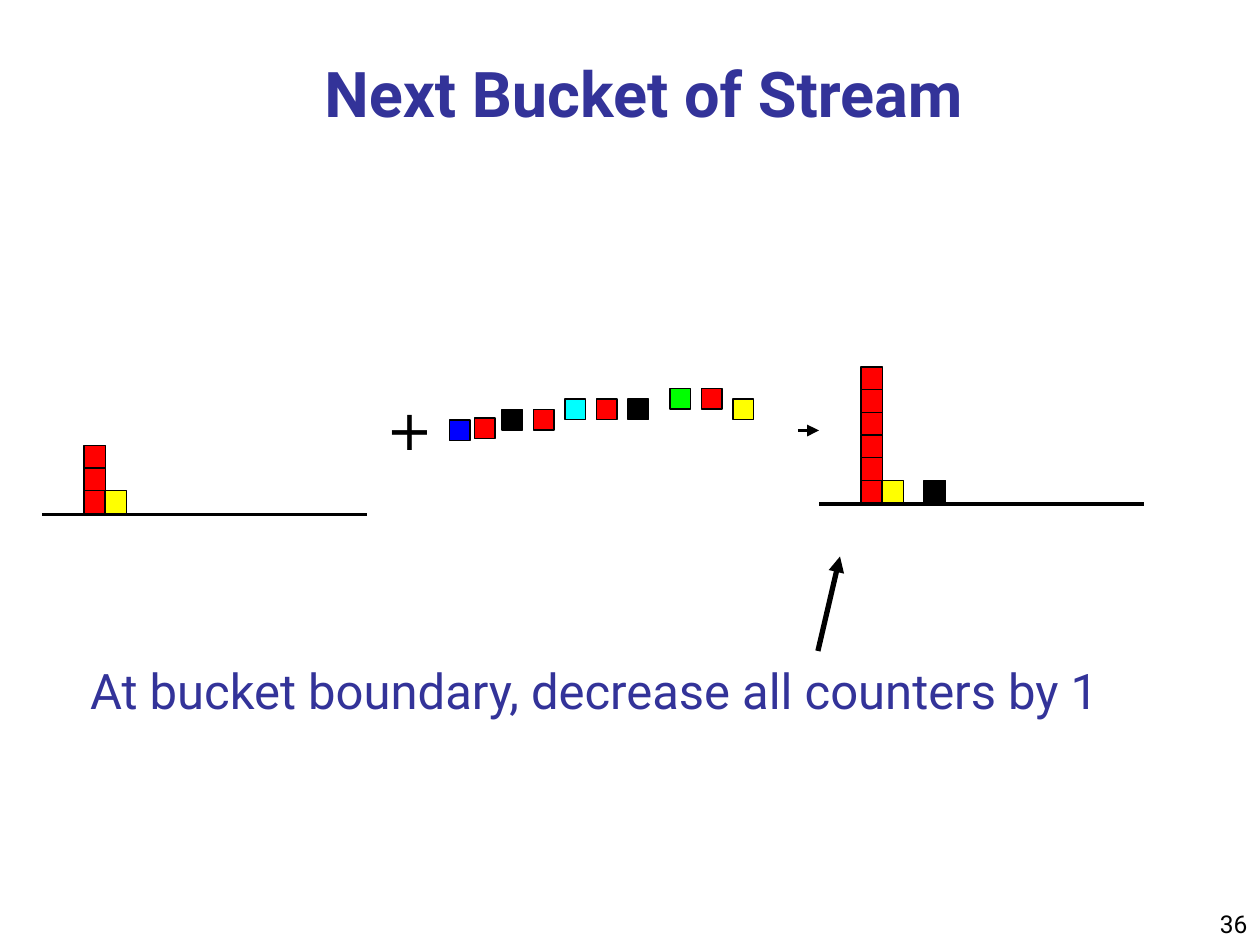
from collections import namedtuple
from dataclasses import dataclass

from lxml import etree
from pptx import Presentation
from pptx.dml.color import RGBColor
from pptx.enum.shapes import MSO_CONNECTOR, MSO_SHAPE
from pptx.enum.text import MSO_ANCHOR, PP_ALIGN
from pptx.oxml.ns import qn
from pptx.util import Inches, Pt

RECTANGLE = MSO_SHAPE.RECTANGLE
STRAIGHT = MSO_CONNECTOR.STRAIGHT
TOP, BOTTOM = MSO_ANCHOR.TOP, MSO_ANCHOR.BOTTOM
LEFT, CENTER, RIGHT = PP_ALIGN.LEFT, PP_ALIGN.CENTER, PP_ALIGN.RIGHT

COLUMNS, ROWS = 60, 45
SLIDE_WIDTH, SLIDE_HEIGHT = Inches(10), Inches(7.5)

Box = namedtuple("Box", "left top width height")


@dataclass(frozen=True)
class Theme:
    font: str = "Roboto"
    symbol_font: str = "DejaVu Sans"
    title_size: float = 36
    symbol_size: float = 32
    note_size: float = 28
    number_size: float = 14
    ink: str = "000000"
    accent: str = "333399"
    red: str = "FF0000"
    yellow: str = "FFFF00"
    green: str = "00FF00"
    blue: str = "0000FF"
    cyan: str = "00FFFF"
    outline: float = 0.75
    axis: float = 2.25
    pointer: float = 3


THEME = Theme()


def across(columns):
    return round(SLIDE_WIDTH * columns / COLUMNS)


def down(rows):
    return round(SLIDE_HEIGHT * rows / ROWS)


def add_label(slide, box, text, size, color, font=THEME.font,
              align=LEFT, anchor=TOP, bold=False):
    label = slide.shapes.add_textbox(across(box.left), down(box.top),
                                     across(box.width), down(box.height))
    frame = label.text_frame
    frame.word_wrap = True
    frame.vertical_anchor = anchor
    paragraph = frame.paragraphs[0]
    paragraph.alignment = align
    run = paragraph.add_run()
    run.text = text
    run.font.name = font
    run.font.size = Pt(size)
    run.font.bold = bold
    run.font.color.rgb = RGBColor.from_string(color)


def add_item(slide, box, color):
    item = slide.shapes.add_shape(RECTANGLE, across(box.left), down(box.top),
                                  across(box.width), down(box.height))
    item.shadow.inherit = False
    item.fill.solid()
    item.fill.fore_color.rgb = RGBColor.from_string(color)
    item.line.color.rgb = RGBColor.from_string(THEME.ink)
    item.line.width = Pt(THEME.outline)


def add_line(slide, start, end, width, arrow=False):
    line = slide.shapes.add_connector(STRAIGHT, across(start[0]), down(start[1]),
                                      across(end[0]), down(end[1]))
    line.line.color.rgb = RGBColor.from_string(THEME.ink)
    line.line.width = Pt(width)
    if arrow:
        etree.SubElement(line.line._get_or_add_ln(), qn("a:tailEnd"), type="triangle")
    etree.SubElement(line._element.spPr, qn("a:effectLst"))


def add_counters(slide, box, counters):
    item_width, item_height = 1.03, 1.08
    baseline = box.top + box.height
    for column, color, count in counters:
        for level in range(1, count + 1):
            add_item(slide, Box(box.left + column, baseline - 0.05 - level * item_height,
                                item_width, item_height), color)
    add_line(slide, (box.left, baseline), (box.left + box.width, baseline), THEME.axis)


def add_stream(slide, box):
    side = 0.98
    add_label(slide, Box(box.left, box.top, 2.7, box.height), "+",
              THEME.symbol_size, THEME.ink, THEME.symbol_font)
    stream = [
        (3.6, 1.5, THEME.blue), (4.8, 1.4, THEME.red),
        (6.1, 1, THEME.ink), (7.6, 1, THEME.red),
        (9.1, 0.5, THEME.cyan), (10.6, 0.5, THEME.red), (12.1, 0.5, THEME.ink),
        (14.1, 0, THEME.green), (15.6, 0, THEME.red), (17.1, 0.5, THEME.yellow),
    ]
    for column, row, color in stream:
        add_item(slide, Box(box.left + column, box.top + row, side, side), color)
    arrow_row = box.top + 2
    add_line(slide, (box.left + box.width - 1, arrow_row),
             (box.left + box.width, arrow_row), THEME.axis, arrow=True)


def add_boundary_note(slide, box):
    pointer_left = box.left + 35.25
    add_label(slide, Box(box.left, box.top + 4.65, box.width, box.height - 4.65),
              "At bucket boundary, decrease all counters by 1",
              THEME.note_size, THEME.accent)
    add_line(slide, (pointer_left, box.top + 4.5), (pointer_left + 1.05, box.top),
             THEME.pointer, arrow=True)


def main():
    deck = Presentation()
    deck.slide_width, deck.slide_height = SLIDE_WIDTH, SLIDE_HEIGHT
    slide = deck.slides.add_slide(deck.slide_layouts[6])

    add_label(slide, Box(47.5, 42, 12.5, 3), "36", THEME.number_size, THEME.ink,
              align=RIGHT, anchor=BOTTOM)
    add_label(slide, Box(5.35, 1.5, 50.6, 5), "Next Bucket of Stream",
              THEME.title_size, THEME.accent, align=CENTER, anchor=BOTTOM, bold=True)
    add_counters(slide, Box(2, 21, 15.5, 3.5),
                 [(2, THEME.red, 3), (3, THEME.yellow, 1)])
    add_stream(slide, Box(17.8, 18.5, 21.2, 3.8))
    add_counters(slide, Box(39, 17.4, 15.5, 6.6),
                 [(2, THEME.red, 6), (3, THEME.yellow, 1), (5, THEME.ink, 1)])
    add_boundary_note(slide, Box(3.7, 26.5, 52.4, 8.1))

    deck.save("out.pptx")


if __name__ == "__main__":
    main()
